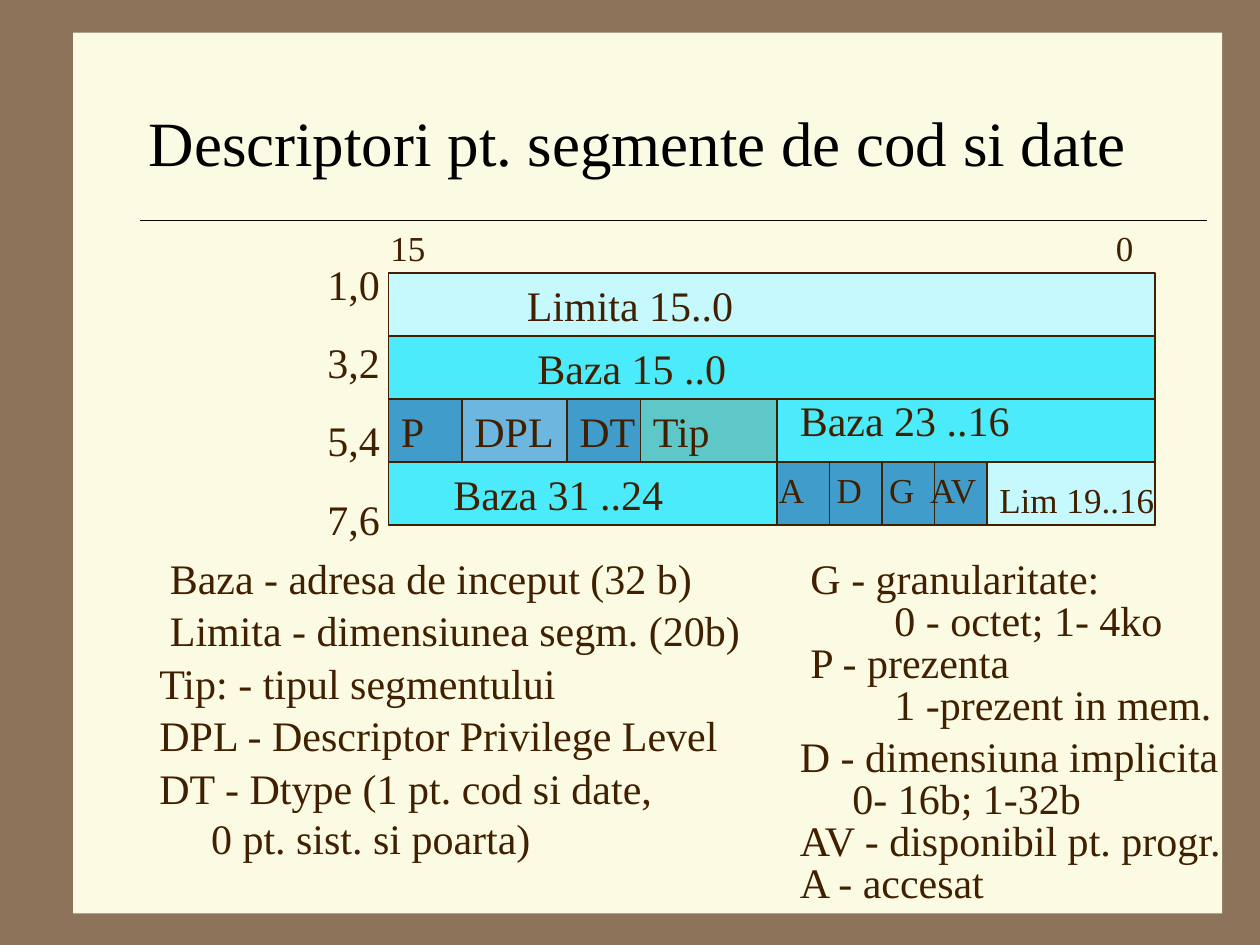
from pptx import Presentation
from pptx.dml.color import RGBColor
from pptx.enum.shapes import MSO_CONNECTOR, MSO_SHAPE
from pptx.enum.text import MSO_ANCHOR, PP_ALIGN
from pptx.oxml.ns import qn
from pptx.util import Inches, Pt
from lxml import etree

RECT, LINE = MSO_SHAPE.RECTANGLE, MSO_CONNECTOR.STRAIGHT
LEFT, MID, TOP = PP_ALIGN.LEFT, MSO_ANCHOR.MIDDLE, MSO_ANCHOR.TOP
FONT = "Times New Roman"
HEX = {"back": "8C735A", "panel": "FBFAE2", "rule": "070605", "black": "000000",
       "ink": "402000", "pale": "C6F9FE", "cyan": "4CEBFC", "blue": "409CCA",
       "sky": "6DB6DF", "teal": "5EC8C8"}

TITLE = "Descriptori pt. segmente de cod si date"

# Descriptor grid, in twelfths of an inch
GRID_X, GRID_Y, GRID_W, ROW_H = 37, 26, 73, 6
ROWS = ["pale", "cyan", "cyan", "cyan"]
# Fields: row, start, width, fill
FIELDS = [(2, 0, 7, "blue"), (2, 7, 10, "sky"), (2, 17, 7, "blue"),
          (2, 24, 13, "teal"), (3, 37, 20, "blue"), (3, 57, 16, "pale")]
FLAG_X, FLAG_W, FLAGS = 37, 5, 4

# Texts: words, left, top, width (twelfths)
LARGE = [
    ("Limita 15..0", 49, 26, 29), ("Baza 15 ..0", 50, 32, 39),
    ("P", 37, 38, 7), ("DPL", 44, 38, 11), ("DT", 54, 38, 10), ("Tip", 61, 38, 15),
    ("Baza 23 ..16", 75, 37, 38), ("Baza 31 ..24", 42, 44, 27),
    ("Baza - adresa de inceput (32 b)", 15, 52, 60),
    ("Limita - dimensiunea segm. (20b)", 15, 57, 57),
    ("Tip: - tipul segmentului", 14, 62, 55),
    ("DPL - Descriptor Privilege Level", 14, 67, 58),
    ("G - granularitate:", 76, 52, 33), ("0 - octet; 1- 4ko", 84, 56, 28),
    ("P - prezenta", 76, 60, 37), ("1 -prezent in mem.", 84, 64, 39),
    ("D - dimensiuna implicita", 75, 69, 45), ("0- 16b; 1-32b", 80, 73, 36),
    ("AV - disponibil pt. progr.", 75, 77, 49), ("A - accesat", 75, 81, 35),
]
SMALL = [("15", 36, 21, 8), ("0", 105.1, 21, 5), ("A", 73, 44, 6), ("D", 78.5, 44, 6),
         ("G", 83.5, 44, 6), ("AV", 87.4, 44, 8), ("Lim 19..16", 94, 45, 18)]
BYTES = ["1,0", "3,2", "5,4", "7,6"]
DTYPE = "DT - Dtype (1 pt. cod si date, 0 pt. sist. si poarta)"

prs = Presentation()
prs.slide_width, prs.slide_height = Inches(10), Inches(7.5)
slide = prs.slides.add_slide(prs.slide_layouts[5])
shapes = slide.shapes


def rgb(name):
    return RGBColor.from_string(HEX[name])


def unit(n):
    return Inches(n / 12)


def write(frame, lines, size, color="ink", anchor=TOP, gap=0):
    frame.word_wrap = True
    frame.vertical_anchor = anchor
    frame.text = "\n".join(lines)
    for i, para in enumerate(frame.paragraphs):
        para.alignment = LEFT
        para.space_before = Pt(gap if i else 0)
        for key, value in {"name": FONT, "size": Pt(size), "bold": False}.items():
            setattr(para.font, key, value)
        para.font.color.rgb = rgb(color)


def label(lines, x, y, w, h, size, gap=0):
    box = shapes.add_textbox(unit(x), unit(y), unit(w), unit(h))
    write(box.text_frame, lines, size, gap=gap)
    return box


def block(x, y, w, h, fill, edge=None):
    shape = shapes.add_shape(RECT, x, y, w, h)
    shape.shadow.inherit = False
    shape.fill.solid()
    shape.fill.fore_color.rgb = rgb(fill)
    if edge:
        shape.line.color.rgb = rgb(edge)
        shape.line.width = Pt(0.75)
    else:
        shape.line.fill.background()


def stroke(x1, y1, x2, y2, color, width):
    line = shapes.add_connector(LINE, x1, y1, x2, y2)
    line.line.color.rgb = rgb(color)
    line.line.width = Pt(width)
    etree.SubElement(line._element.spPr, qn("a:effectLst"))


# Background, panel and rule
slide.background.fill.solid()
slide.background.fill.fore_color.rgb = rgb("back")
block(Inches(0.58), Inches(0.26), Inches(9.12), Inches(6.99), "panel")
stroke(Inches(1.11), Inches(1.75), Inches(9.58), Inches(1.75), "rule", 0.25)

# Title, brought in front of the panel
title = shapes.title
title.left, title.top, title.width, title.height = map(Inches, (1.08, 0.5, 8.5, 1.25))
write(title.text_frame, [TITLE], 36, "black", MID)
shapes._spTree.append(title._element)

# Descriptor rows, fields and flag dividers
bars = [(row, 0, GRID_W, fill) for row, fill in enumerate(ROWS)]
for row, start, width, fill in bars + FIELDS:
    block(unit(GRID_X + start), unit(GRID_Y + row * ROW_H),
          unit(width), unit(ROW_H), fill, "ink")
low = GRID_Y + 3 * ROW_H
for i in range(1, FLAGS):
    x = unit(GRID_X + FLAG_X + i * FLAG_W)
    stroke(x, unit(low), x, unit(low + ROW_H), "ink", 0.75)

# Field names and explanations
for size, height, items in ((24, 6, LARGE), (20, 5.25, SMALL)):
    for words, x, y, w in items:
        label([words], x, y, w, height, size)

# Byte numbers
label(BYTES, 30, 24, 8, 28, 24, gap=16)

# Type note with a hanging indent
note = label([DTYPE], 14, 72, 50, 10.8, 24)
props = note.text_frame.paragraphs[0]._p.get_or_add_pPr()
props.set("marL", str(Inches(0.41)))
props.set("indent", str(-Inches(0.41)))

prs.save("out.pptx")
